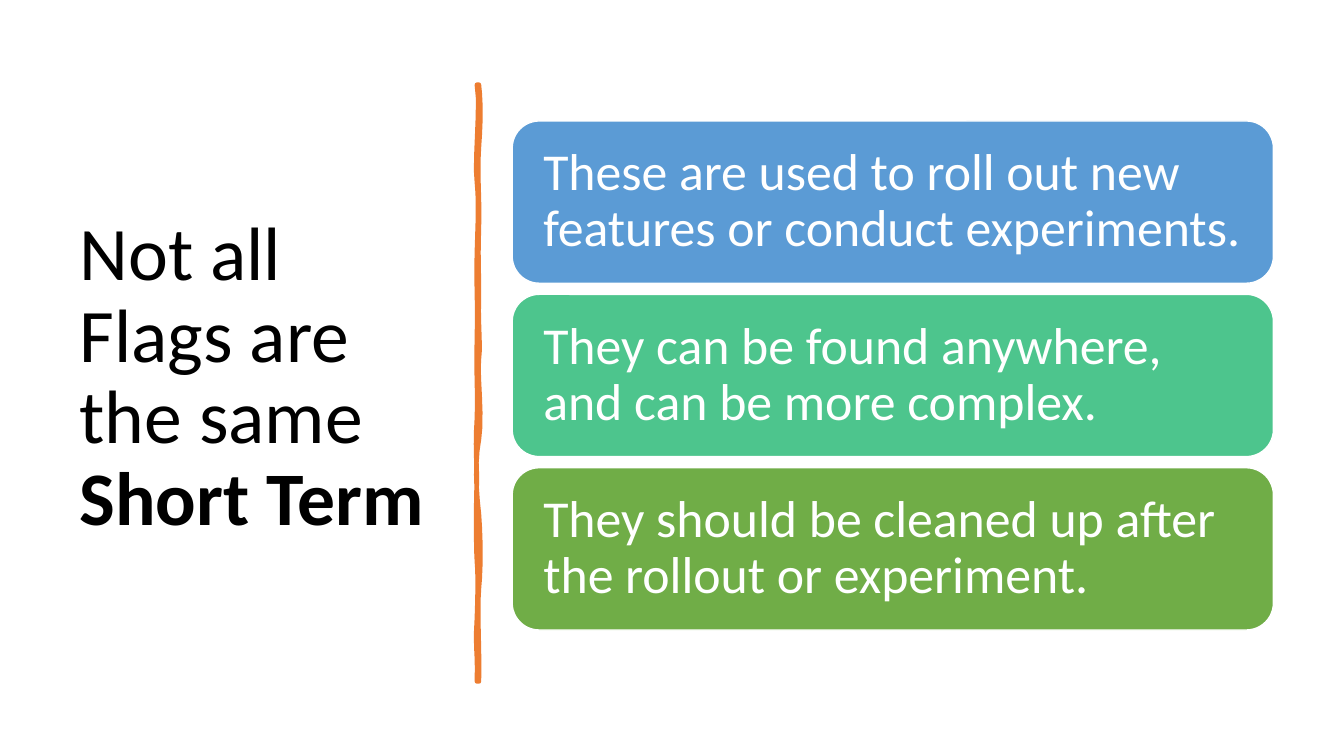
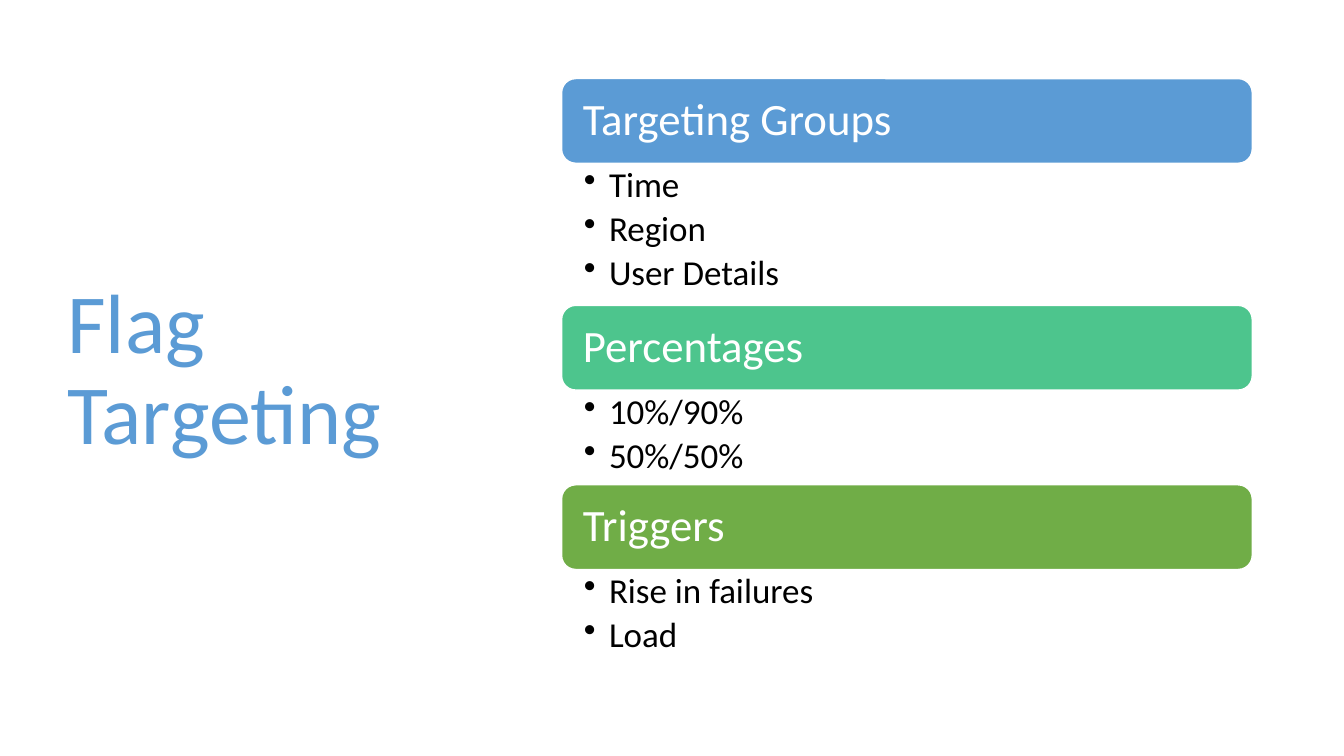
"""Build two slides about feature flags: short-term flags and flag targeting."""
from lxml import etree
from pptx import Presentation
from pptx.dml.color import RGBColor
from pptx.enum.shapes import MSO_SHAPE
from pptx.enum.text import MSO_ANCHOR, PP_ALIGN
from pptx.oxml.ns import qn
from pptx.util import Inches, Pt

ROUNDED = MSO_SHAPE.ROUNDED_RECTANGLE
MIDDLE = MSO_ANCHOR.MIDDLE
TOP = MSO_ANCHOR.TOP
LEFT = PP_ALIGN.LEFT

FONT = "Calibri"
LINE_SPACING = 0.9
BLACK = RGBColor(0x00, 0x00, 0x00)
WHITE = RGBColor(0xFF, 0xFF, 0xFF)
BLUE = RGBColor(0x5B, 0x9B, 0xD5)
MINT = RGBColor(0x4D, 0xC5, 0x8D)
GREEN = RGBColor(0x70, 0xAD, 0x47)
ORANGE = RGBColor(0xED, 0x7D, 0x31)
BAND_COLORS = (BLUE, MINT, GREEN)

STATEMENTS = (
    "These are used to roll out new features or conduct experiments.",
    "They can be found anywhere, and can be more complex.",
    "They should be cleaned up after the rollout or experiment.",
)
TARGETING = (
    ("Targeting Groups", ("Time", "Region", "User Details")),
    ("Percentages", ("10%/90%", "50%/50%")),
    ("Triggers", ("Rise in failures", "Load")),
)

RULE_RIGHT = (
    (4.75, 0.84), (4.77, 1.02), (4.77, 1.19), (4.75, 1.46), (4.73, 1.73),
    (4.76, 1.95), (4.75, 2.26), (4.74, 2.57), (4.75, 2.62), (4.75, 2.94),
    (4.74, 3.25), (4.77, 3.42), (4.75, 3.56), (4.73, 3.7), (4.79, 4.14),
    (4.75, 4.36), (4.71, 4.57), (4.72, 4.84), (4.75, 5.1), (4.77, 5.36),
    (4.77, 5.64), (4.75, 5.84), (4.73, 6.03), (4.76, 6.5), (4.75, 6.76),
)
RULE_LEFT = (
    (4.73, 6.76), (4.74, 6.46), (4.71, 6.44), (4.73, 6.13), (4.74, 5.83),
    (4.74, 5.7), (4.73, 5.57), (4.72, 5.44), (4.72, 4.95), (4.73, 4.77),
    (4.73, 4.59), (4.71, 4.45), (4.73, 4.15), (4.74, 3.86), (4.72, 3.73),
    (4.73, 3.35), (4.74, 2.98), (4.72, 2.81), (4.73, 2.5), (4.74, 2.18),
    (4.75, 2.0), (4.73, 1.81), (4.7, 1.63), (4.77, 1.04), (4.73, 0.84),
)


def set_frame(shape, margins, anchor):
    frame = shape.text_frame
    frame.word_wrap = True
    frame.vertical_anchor = anchor
    (frame.margin_left, frame.margin_top,
     frame.margin_right, frame.margin_bottom) = map(Inches, margins)
    return frame


def style_paragraph(paragraph, size, color):
    paragraph.alignment = LEFT
    paragraph.line_spacing = LINE_SPACING
    paragraph.font.name = FONT
    paragraph.font.size = Pt(size)
    paragraph.font.color.rgb = color


def add_title(slide, box, size, color, text, bold_text=""):
    shape = slide.shapes.add_textbox(*map(Inches, box))
    paragraph = set_frame(shape, (0.1, 0.05, 0.1, 0.05), MIDDLE).paragraphs[0]
    style_paragraph(paragraph, size, color)
    paragraph.add_run().text = text
    if bold_text:
        run = paragraph.add_run()
        run.text = bold_text
        run.font.bold = True


def add_band(slide, box, color, text, size, margin):
    shape = slide.shapes.add_shape(ROUNDED, *map(Inches, box))
    shape.shadow.inherit = False
    shape.fill.solid()
    shape.fill.fore_color.rgb = color
    shape.line.color.rgb = WHITE
    shape.line.width = Pt(1)
    paragraph = set_frame(shape, (margin,) * 4, MIDDLE).paragraphs[0]
    paragraph.text = text
    style_paragraph(paragraph, size, WHITE)


def add_bullets(slide, box, items):
    shape = slide.shapes.add_textbox(*map(Inches, box))
    frame = set_frame(shape, (0.22, 0.04, 0.25, 0.04), TOP)
    for index, item in enumerate(items):
        paragraph = frame.add_paragraph() if index else frame.paragraphs[0]
        paragraph.text = item
        style_paragraph(paragraph, 25, BLACK)
        paragraph.space_after = Pt(4.3)
        properties = paragraph._p.get_or_add_pPr()
        properties.set("marL", str(Inches(0.25)))
        properties.set("indent", str(Inches(-0.25)))
        etree.SubElement(properties, qn("a:buChar")).set("char", "•")
        defaults = properties.find(qn("a:defRPr"))
        if defaults is not None:
            properties.append(defaults)


def sample_curve(points, steps=6):
    samples = [points[0]]
    for first in range(0, len(points) - 1, 3):
        segment = points[first:first + 4]
        for step in range(1, steps + 1):
            t = step / steps
            weights = ((1 - t) ** 3, 3 * t * (1 - t) ** 2, 3 * t * t * (1 - t), t ** 3)
            samples.append(tuple(
                sum(weight * point[axis] for weight, point in zip(weights, segment))
                for axis in (0, 1)))
    return samples


def add_wavy_rule(slide):
    outline = [(Inches(x), Inches(y))
               for x, y in sample_curve(RULE_RIGHT) + sample_curve(RULE_LEFT)]
    builder = slide.shapes.build_freeform(*outline[0])
    builder.add_line_segments(outline[1:], close=True)
    shape = builder.convert_to_shape()
    shape.shadow.inherit = False
    shape.fill.solid()
    shape.fill.fore_color.rgb = ORANGE
    shape.line.color.rgb = ORANGE
    shape.line.width = Pt(3.25)
    etree.SubElement(shape.line._get_or_add_ln(), qn("a:round"))


def build_short_term(slide):
    add_title(slide, (0.69, 0.7, 3.74, 6.11), 54, BLACK,
              "Not all Flags are the same ", "Short Term")
    add_wavy_rule(slide)
    height, gap = 1.61, 0.11
    for index, (text, color) in enumerate(zip(STATEMENTS, BAND_COLORS)):
        top = 1.2 + index * (height + gap)
        add_band(slide, (5.08, top, 7.55, height), color, text, 37, 0.23)


def build_targeting(slide):
    add_title(slide, (0.57, 0.68, 4.16, 6.02), 60, BLUE, "Flag Targeting")
    left, top, width, band_height, item_height = 5.57, 0.78, 6.85, 0.84, 0.47
    for (heading, items), color in zip(TARGETING, BAND_COLORS):
        add_band(slide, (left, top, width, band_height), color, heading, 32, 0.17)
        top += band_height
        list_height = item_height * len(items)
        add_bullets(slide, (left, top, width, list_height), items)
        top += list_height


def main():
    presentation = Presentation()
    presentation.slide_width = Inches(13.33)
    presentation.slide_height = Inches(7.5)
    blank = presentation.slide_layouts[6]
    for build in (build_short_term, build_targeting):
        build(presentation.slides.add_slide(blank))
    presentation.save("out.pptx")


if __name__ == "__main__":
    main()
